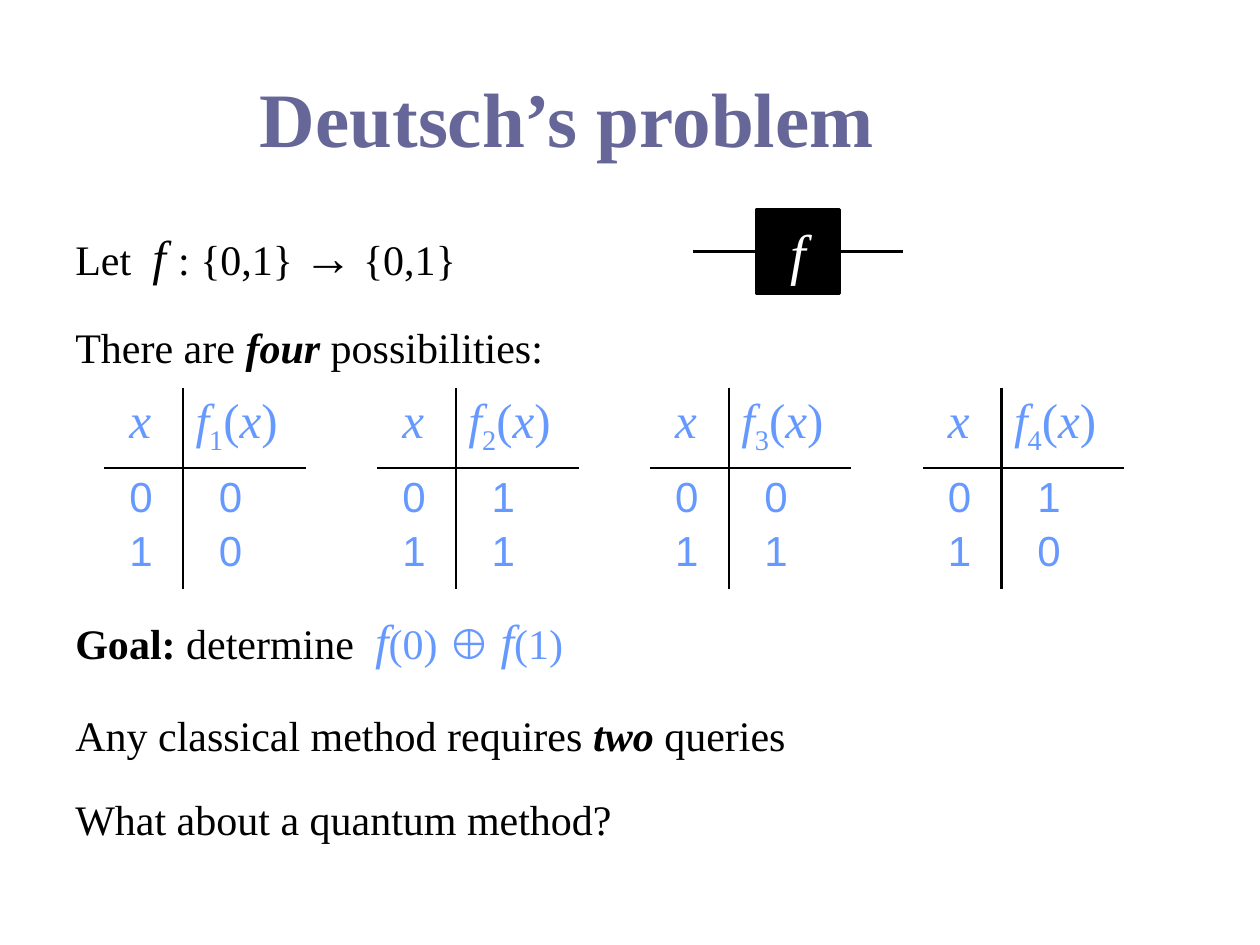
from lxml import etree
from pptx import Presentation
from pptx.dml.color import RGBColor
from pptx.enum.shapes import MSO_CONNECTOR, MSO_SHAPE
from pptx.enum.text import MSO_ANCHOR, MSO_AUTO_SIZE, PP_ALIGN
from pptx.oxml.ns import qn
from pptx.util import Cm, Pt

STRAIGHT = MSO_CONNECTOR.STRAIGHT
RECTANGLE = MSO_SHAPE.RECTANGLE
MIDDLE = MSO_ANCHOR.MIDDLE
CENTER = PP_ALIGN.CENTER
FIT_SHAPE = MSO_AUTO_SIZE.SHAPE_TO_FIT_TEXT
NO_FIT = MSO_AUTO_SIZE.NONE

BLACK = RGBColor(0x00, 0x00, 0x00)
WHITE = RGBColor(0xFF, 0xFF, 0xFF)
PURPLE = RGBColor(0x66, 0x66, 0x99)
BLUE = RGBColor(0x66, 0x99, 0xFF)
SERIF = "Times New Roman"
SANS = "Arial"
LINE_WIDTH = Pt(1.5)

BODY_LEFT, TABLE_LEFT, TABLE_TOP = 1.27, 2.12, 7.83
TABLE_STEP = 5.5
COLUMN_WIDTHS = (1.57, 2.46)
ROW_HEIGHTS = (1.6, 2.46)

EMPHASIS = {"bold": True, "italic": True}
FUNCTION = {"size": 28, "italic": True}

# Top, width, height and runs of each statement
STATEMENTS = [
    (4.45, 8.28, 1.45, [("Let  ", {}), ("f ", FUNCTION), (": {0,1} ", {}),
                        ("→", {"size": 28}), (" {0,1}", {})]),
    (6.35, 10.87, 1.27, [("There are ", {}), ("four", EMPHASIS),
                         (" possibilities:", {})]),
    (12.19, 11.07, 1.45, [("Goal: ", {"bold": True}), ("determine  ", {}),
                          ("f", {**FUNCTION, "color": BLUE}),
                          ("(0) ⊕ ", {"color": BLUE}),
                          ("f", {**FUNCTION, "color": BLUE}),
                          ("(1)", {"color": BLUE})]),
    (14.17, 16.48, 1.27, [("Any classical method requires ", {}),
                          ("two", EMPHASIS), (" queries", {})]),
    (15.88, 12.62, 1.27, [("What about a quantum method?", {})]),
]
# Values of each function at x = 0 and x = 1
TRUTH_VALUES = [("0", "0"), ("1", "1"), ("0", "1"), ("1", "0")]


def add_text(paragraph, text, size=24, font=SERIF, color=BLACK,
             bold=False, italic=False, baseline=0):
    run = paragraph.add_run()
    run.text = text
    run.font.size = Pt(size)
    run.font.name = font
    run.font.color.rgb = color
    run.font.bold = bold
    run.font.italic = italic
    if baseline:
        run.font._element.set("baseline", str(baseline * 1000))


def add_title(slide, left, top, width, height):
    title = slide.shapes.title
    title.left, title.top = Cm(left), Cm(top)
    title.width, title.height = Cm(width), Cm(height)
    frame = title.text_frame
    frame.vertical_anchor = MIDDLE
    frame.auto_size = NO_FIT
    frame.paragraphs[0].alignment = CENTER
    add_text(frame.paragraphs[0], "Deutsch’s problem", size=44,
             color=PURPLE, bold=True)


def add_statement(slide, left, top, width, height, runs):
    box = slide.shapes.add_textbox(Cm(left), Cm(top), Cm(width), Cm(height))
    box.text_frame.word_wrap = False
    box.text_frame.auto_size = FIT_SHAPE
    for text, style in runs:
        add_text(box.text_frame.paragraphs[0], text, **style)


def add_query_gate(slide, left, top, width, side):
    """Draw the square gate f with a wire on either side."""
    group = slide.shapes.add_group_shape()
    wire = (width - side) / 2
    gate = group.shapes.add_shape(RECTANGLE, Cm(left + wire), Cm(top),
                                  Cm(side), Cm(side))
    gate.shadow.inherit = False
    gate.fill.solid()
    gate.fill.fore_color.rgb = BLACK
    gate.line.color.rgb = BLACK
    gate.line.width = LINE_WIDTH
    frame = gate.text_frame
    frame.word_wrap = False
    frame.vertical_anchor = MIDDLE
    frame.paragraphs[0].alignment = CENTER
    add_text(frame.paragraphs[0], "f", size=32, color=WHITE, italic=True)

    middle = Cm(top + side / 2)
    for start in (left, left + wire + side):
        line = group.shapes.add_connector(STRAIGHT, Cm(start), middle,
                                          Cm(start + wire), middle)
        line.line.color.rgb = BLACK
        line.line.width = LINE_WIDTH
        etree.SubElement(line._element.spPr, qn("a:effectLst"))


def add_border(cell, side):
    border = etree.SubElement(cell._tc.get_or_add_tcPr(), qn(f"a:ln{side}"),
                              w=str(LINE_WIDTH))
    fill = etree.SubElement(border, qn("a:solidFill"))
    etree.SubElement(fill, qn("a:srgbClr"), val=str(BLACK))


def add_truth_table(slide, left, top, number, values):
    table = slide.shapes.add_table(
        2, 2, Cm(left), Cm(top),
        Cm(sum(COLUMN_WIDTHS)), Cm(sum(ROW_HEIGHTS))).table
    table.first_row = table.horz_banding = False
    for column, width in zip(table.columns, COLUMN_WIDTHS):
        column.width = Cm(width)
    for row, height in zip(table.rows, ROW_HEIGHTS):
        row.height = Cm(height)

    # Only the inner edges carry a line
    for row, horizontal in enumerate("BT"):
        for column, vertical in enumerate("RL"):
            cell = table.cell(row, column)
            add_border(cell, vertical)
            add_border(cell, horizontal)
            cell.fill.background()

    variable, function = table.cell(0, 0), table.cell(0, 1)
    variable.margin_left = Cm(0.49)
    add_text(variable.text_frame.paragraphs[0], "x", color=BLUE, **FUNCTION)
    for text, style in [("f", {"italic": True}), (str(number), {"baseline": -25}),
                        ("(", {}), ("x", {"italic": True}), (")", {})]:
        add_text(function.text_frame.paragraphs[0], text, size=28,
                 color=BLUE, **style)

    for column, (digits, indent) in enumerate([(("0", "1"), 0.49),
                                               (values, 0.72)]):
        cell = table.cell(1, column)
        cell.margin_left = Cm(indent)
        first = cell.text_frame.paragraphs[0]
        second = cell.text_frame.add_paragraph()
        second.space_before = Pt(4)
        for paragraph, digit in zip((first, second), digits):
            add_text(paragraph, digit, font=SANS, color=BLUE)


def main():
    presentation = Presentation()
    presentation.slide_width, presentation.slide_height = Cm(25.4), Cm(19.05)
    title_only = presentation.slide_layouts[5]
    slide = presentation.slides.add_slide(title_only)

    add_title(slide, 0, 0.76, 22.86, 3.18)
    add_query_gate(slide, 13.97, 4.23, 4.23, 1.69)
    for top, width, height, runs in STATEMENTS:
        add_statement(slide, BODY_LEFT, top, width, height, runs)
    for index, values in enumerate(TRUTH_VALUES):
        add_truth_table(slide, TABLE_LEFT + index * TABLE_STEP, TABLE_TOP,
                        index + 1, values)
    presentation.save("out.pptx")


if __name__ == "__main__":
    main()
